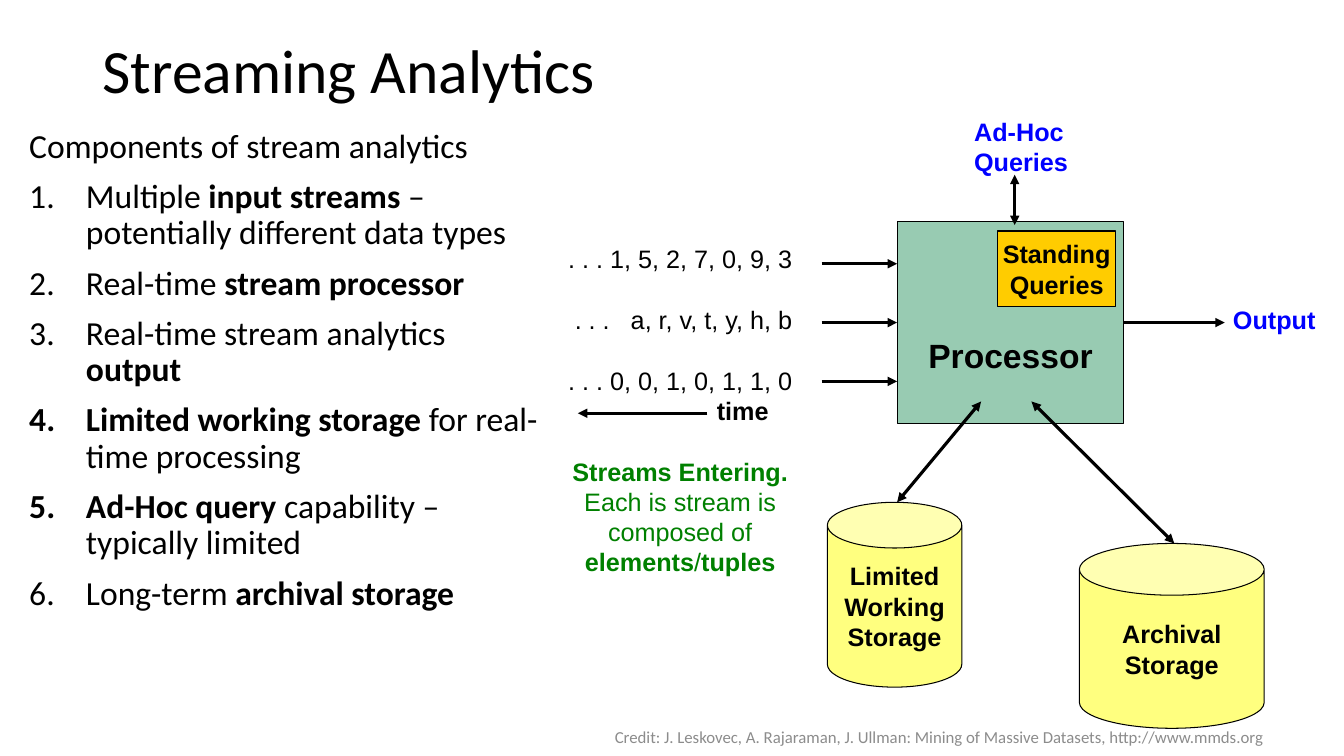
from dataclasses import dataclass
from typing import Optional

from lxml.etree import SubElement as Sub
from pptx import Presentation
from pptx.dml.color import RGBColor as Color
from pptx.enum.shapes import MSO_CONNECTOR as Wire, MSO_SHAPE as Shape
from pptx.enum.text import MSO_ANCHOR as Anchor, MSO_AUTO_SIZE as Fit, PP_ALIGN as Align
from pptx.oxml.ns import qn
from pptx.util import Emu, Pt

COLS, ROWS, CELL = 160, 90, 76200


@dataclass(frozen=True)
class Theme:
    sans: str = "Calibri"
    plain: str = "Arial"
    black: str = "000000"
    grey: str = "8C8C8C"
    blue: str = "0000FF"
    green: str = "008000"
    sea: str = "339966"
    lemon: str = "FFFF00"
    gold: str = "FFCC00"
    head: int = 44
    body: int = 24
    label: int = 18
    small: int = 12
    edge: float = 0.75
    wire: float = 2.25


LOOK = Theme()


@dataclass(frozen=True)
class Box:
    col: float
    row: float
    wide: float
    high: float

    def place(self) -> tuple:
        return tuple(grid(n) for n in (self.col, self.row, self.wide, self.high))


@dataclass(frozen=True)
class Line:
    text: str
    tint: str = LOOK.black
    align: Align = Align.LEFT
    before: float = 0
    indent: float = 0
    hang: float = 0


@dataclass(frozen=True)
class Node:
    kind: Shape
    box: Box
    text: str
    fill: str
    alpha: Optional[int] = 50
    curve: Optional[float] = None
    size: int = LOOK.label
    drop: float = 0.6


@dataclass(frozen=True)
class Arrow:
    x1: float
    y1: float
    x2: float
    y2: float
    both: bool = False


def grid(cells: float) -> Emu:
    return Emu(round(cells * CELL))


def write(frame, lines: list[Line], *, font: str = LOOK.plain, size: int = LOOK.label,
          lead: Optional[float] = None, anchor: Anchor = Anchor.TOP,
          wrap: bool = True, fit: Fit = Fit.NONE) -> None:
    frame.word_wrap = wrap
    frame.auto_size = fit
    frame.vertical_anchor = anchor
    for i, line in enumerate(lines):
        para = frame.paragraphs[0] if i == 0 else frame.add_paragraph()
        para.alignment = line.align
        para.line_spacing = lead
        para.space_before = Pt(line.before)
        props = para._p.get_or_add_pPr()
        if line.indent:
            props.set("marL", str(grid(line.indent)))
            props.set("indent", str(-grid(line.hang)))
        if line.hang:
            Sub(props, qn("a:buAutoNum"), type="arabicPeriod")
        for row, part in enumerate(line.text.split("\n")):
            if row:
                para.add_line_break()
            for j, chunk in enumerate(part.split("**")):
                for k, piece in enumerate(chunk.split("~")):
                    if k:
                        gap = add_run(para, " ", font, size, line.tint)
                        gap._r.get_or_add_rPr().set("spc", "1000")
                    if piece:
                        add_run(para, piece, font, size, line.tint, j % 2 == 1)


def add_run(para, text: str, font: str, size: int, tint: str, bold: bool = False):
    run = para.add_run()
    run.text = text
    run.font.name = font
    run.font.size = Pt(size)
    run.font.bold = bold
    run.font.color.rgb = Color.from_string(tint)
    return run


def label(slide, box: Box, lines: list[Line], **style) -> None:
    write(slide.shapes.add_textbox(*box.place()).text_frame, lines, **style)


def draw_node(slide, node: Node) -> None:
    shape = slide.shapes.add_shape(node.kind, *node.box.place())
    shape.shadow.inherit = False
    if node.curve:
        shape.adjustments[0] = node.curve
    shape.fill.solid()
    shape.fill.fore_color.rgb = Color.from_string(node.fill)
    if node.alpha:
        tone = shape._element.spPr.find(qn("a:solidFill"))[0]
        Sub(tone, qn("a:alpha"), val=str(node.alpha * 1000))
    shape.line.color.rgb = Color.from_string(LOOK.black)
    shape.line.width = Pt(LOOK.edge)
    shape.text_frame.margin_top = grid(node.drop)
    lines = [Line(f"**{word}**", align=Align.CENTER) for word in node.text.split()]
    write(shape.text_frame, lines, size=node.size, anchor=Anchor.MIDDLE, wrap=False)


def draw_arrow(slide, arrow: Arrow) -> None:
    ends = (arrow.x1, arrow.y1, arrow.x2, arrow.y2)
    wire = slide.shapes.add_connector(Wire.STRAIGHT, *map(grid, ends))
    wire.line.color.rgb = Color.from_string(LOOK.black)
    wire.line.width = Pt(LOOK.wire)
    props = wire._element.spPr
    for tip in ("headEnd", "tailEnd") if arrow.both else ("tailEnd",):
        Sub(props.find(qn("a:ln")), qn(f"a:{tip}"), type="triangle")
    Sub(props, qn("a:effectLst"))


ITEMS = [
    "Multiple **input streams **– potentially different data types",
    "Real-time **stream processor**",
    "Real-time stream analytics **output**",
    "**Limited working storage** for real-time processing",
    "**Ad-Hoc query **capability – typically limited",
    "Long-term **archival storage**",
]
GAP = 21.8
STREAMS = [
    Line(". . . 1, 5, 2, 7, 0, 9, 3", align=Align.RIGHT),
    Line(". . .~a, r, v, t, y, h, b", align=Align.RIGHT, before=GAP),
    Line(". . . 0, 0, 1, 0, 1, 1, 0", align=Align.RIGHT, before=GAP),
    Line("**time**", indent=17.7),
    Line("**Streams Entering.**", LOOK.green, Align.CENTER, GAP),
    Line("Each is stream is\ncomposed of\n**elements**/**tuples**", LOOK.green, Align.CENTER),
]
NODES = [
    Node(Shape.RECTANGLE, Box(106.8, 26.4, 27, 24), "Processor", LOOK.sea,
         size=LOOK.body, drop=8.3),
    Node(Shape.CAN, Box(98.5, 59.8, 16, 22), "Limited Working Storage", LOOK.lemon, curve=0.34),
    Node(Shape.CAN, Box(128.5, 64.7, 22, 22), "Archival Storage", LOOK.lemon, curve=0.28),
    Node(Shape.RECTANGLE, Box(118.8, 27.5, 14, 9), "Standing Queries", LOOK.gold, alpha=None),
]
ARROWS = [
    *(Arrow(97.8, 31.4 + 7 * i, 106.8, 31.4 + 7 * i) for i in range(3)),
    Arrow(84.2, 49.2, 68.8, 49.2),
    Arrow(133.8, 38.4, 145.8, 38.4),
    Arrow(120.8, 20.8, 120.8, 26.8, True),
    Arrow(116.8, 47.8, 106.8, 59.8, True),
    Arrow(122.8, 47.8, 139.8, 64.7, True),
]
CREDIT = ("Credit: J. Leskovec, A. Rajaraman, J. Ullman: "
          "Mining of Massive Datasets, http://www.mmds.org")


def main() -> None:
    deck = Presentation()
    deck.slide_width, deck.slide_height = grid(COLS), grid(ROWS)
    slide = deck.slides.add_slide(deck.slide_layouts[5])
    title = slide.shapes.title
    title.left, title.top, title.width, title.height = Box(11, 0, 138, 17.4).place()
    write(title.text_frame, [Line("Streaming Analytics")], font=LOOK.sans,
          size=LOOK.head, lead=0.9, anchor=Anchor.MIDDLE)
    steps = [Line(item, before=10, indent=6.75, hang=6.75) for item in ITEMS]
    label(slide, Box(2.3, 14.8, 63.2, 73.9), [Line("Components of stream analytics"), *steps],
          font=LOOK.sans, size=LOOK.body, lead=0.9)
    label(slide, Box(64.4, 85.9, 94.9, 3.6), [Line(CREDIT, LOOK.grey, Align.CENTER)],
          font=LOOK.sans, size=LOOK.small, anchor=Anchor.MIDDLE)
    for node in NODES:
        draw_node(slide, node)
    for arrow in ARROWS:
        draw_arrow(slide, arrow)
    loose = {"wrap": False, "fit": Fit.SHAPE_TO_FIT_TEXT}
    label(slide, Box(66.1, 28.4, 29.4, 41.2), STREAMS, **loose)
    label(slide, Box(114.8, 13.2, 13.7, 8.5),
          [Line("**Ad-Hoc**", LOOK.blue), Line("**Queries**", LOOK.blue)], **loose)
    label(slide, Box(145.6, 35.6, 12.4, 4.8), [Line("**Output**", LOOK.blue)], **loose)
    deck.save("out.pptx")


if __name__ == "__main__":
    main()
